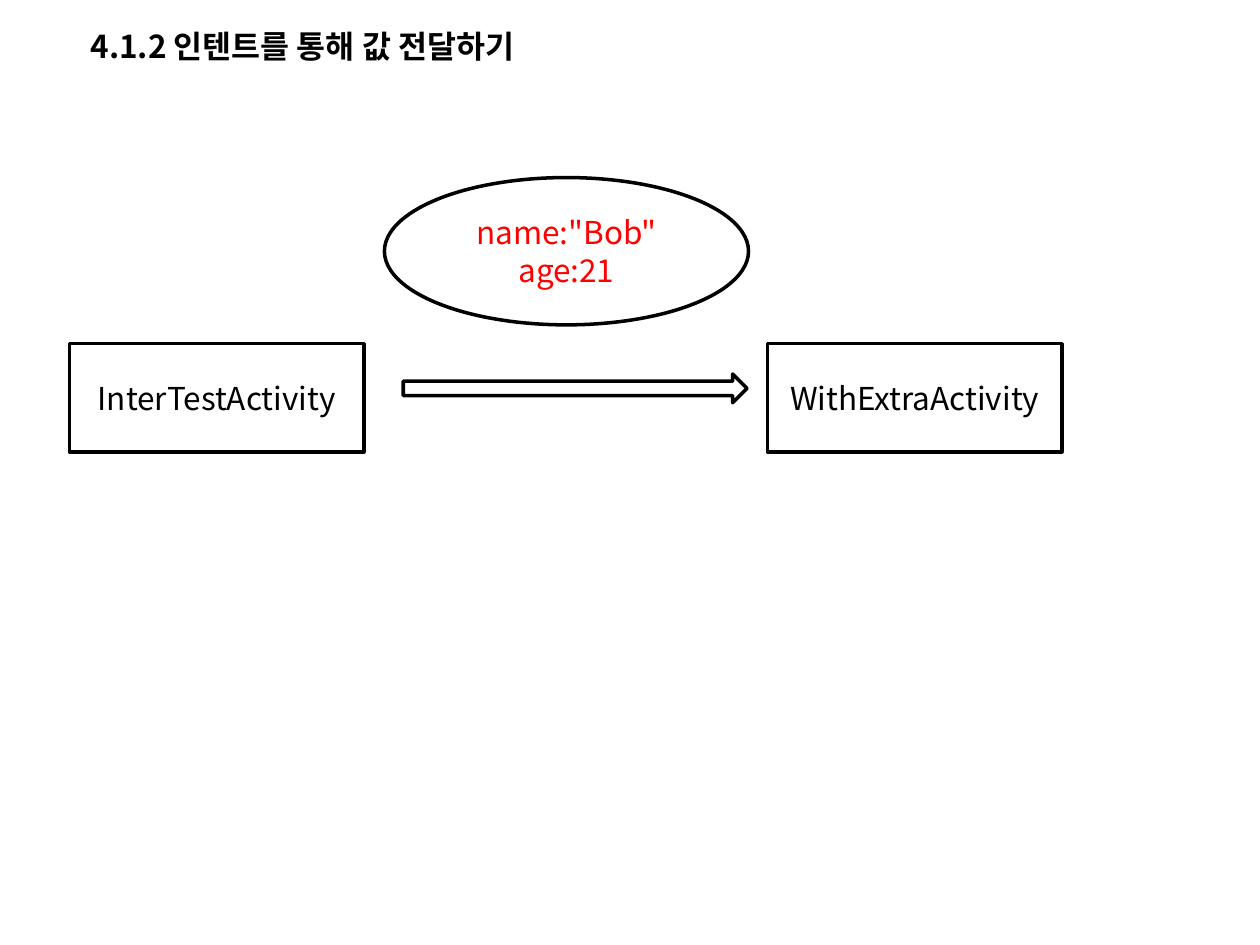
from dataclasses import dataclass

from lxml.etree import SubElement
from pptx import Presentation
from pptx.dml.color import RGBColor as Rgb
from pptx.enum.shapes import MSO_SHAPE as Kind
from pptx.enum.text import MSO_ANCHOR as Anchor, PP_ALIGN as Align
from pptx.oxml.ns import qn
from pptx.util import Cm, Pt


@dataclass(frozen=True)
class Theme:
    """Colours, font and sizes of the slide."""
    ink: Rgb = Rgb(0, 0, 0)
    data: Rgb = Rgb(255, 0, 0)
    face: str = "Noto Sans CJK KR"
    size: int = 18
    line: int = 2


class Sketch:
    """Draws titles and outlined shapes on one slide in one theme."""

    def __init__(self, slide, theme):
        self.slide = slide
        self.theme = theme

    def label(self, frame, text, color, align, bold=False):
        frame.word_wrap = True
        frame.vertical_anchor = Anchor.MIDDLE
        frame.text = text
        for para in frame.paragraphs:
            para.alignment = align
            font = para.font
            font.name, font.size = self.theme.face, Pt(self.theme.size)
            font.bold = bold
            font.color.rgb = color
            props = para._p.pPr.find(qn("a:defRPr"))
            SubElement(props, qn("a:ea"), typeface=self.theme.face)

    def title(self, text, left, top, width, height):
        head = self.slide.shapes.title
        head.left, head.top = Cm(left), Cm(top)
        head.width, head.height = Cm(width), Cm(height)
        self.label(head.text_frame, text, self.theme.ink, Align.LEFT, True)

    def shape(self, kind, left, top, width, height, text="", color=None):
        item = self.slide.shapes.add_shape(
            kind, Cm(left), Cm(top), Cm(width), Cm(height))
        item.shadow.inherit = False
        item.fill.background()
        item.line.color.rgb = self.theme.ink
        item.line.width = Pt(self.theme.line)
        if text:
            self.label(item.text_frame, text, color or self.theme.ink, Align.CENTER)


def main():
    deck = Presentation()
    deck.slide_width, deck.slide_height = Cm(25.4), Cm(19.05)
    theme = Theme()
    sketch = Sketch(deck.slides.add_slide(deck.slide_layouts[5]), theme)

    sketch.title("4.1.2 인텐트를 통해 값 전달하기", 1.57, 0.41, 18.06, 1.02)
    for left, name in ((1.4, "InterTestActivity"), (15.47, "WithExtraActivity")):
        sketch.shape(Kind.RECTANGLE, left, 6.93, 5.94, 2.18, name)
    sketch.shape(Kind.RIGHT_ARROW, 8.13, 7.54, 6.93, 0.58)
    sketch.shape(Kind.OVAL, 7.75, 3.58, 7.34, 2.97,
                 'name:"Bob"\nage:21', theme.data)
    deck.save("out.pptx")


if __name__ == "__main__":
    main()
